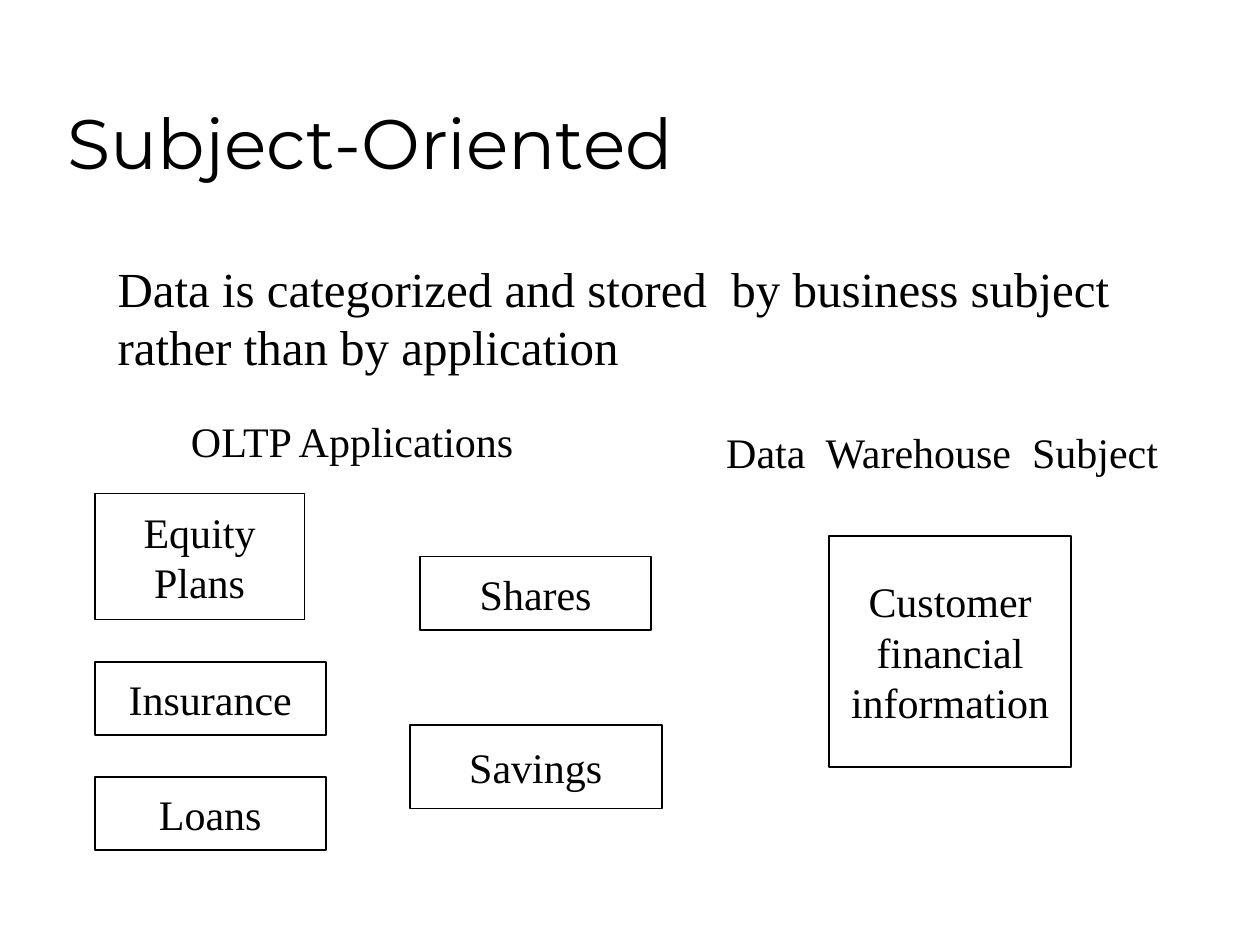
from dataclasses import dataclass

from pptx import Presentation
from pptx.dml.color import RGBColor
from pptx.enum.shapes import MSO_SHAPE as Shape
from pptx.enum.text import MSO_ANCHOR as Anchor, PP_ALIGN as Align
from pptx.util import Cm, Pt

BLACK = RGBColor(0, 0, 0)
WHITE = RGBColor(255, 255, 255)
BODY_FONT = "Times New Roman"
TITLE_FONT = "Montserrat"


@dataclass(frozen=True)
class Area:
    left: float
    top: float
    width: float
    height: float

    def lengths(self) -> tuple:
        return Cm(self.left), Cm(self.top), Cm(self.width), Cm(self.height)


@dataclass(frozen=True)
class Subject:
    text: str
    area: Area


@dataclass(frozen=True)
class Label:
    text: str
    area: Area
    size: int = 24
    font: str = BODY_FONT
    anchor: Anchor = Anchor.TOP
    wrap: bool = False


LABELS = [
    Label("Subject-Oriented", Area(1.12, 0.64, 21.59, 3.18), 40, TITLE_FONT,
          Anchor.BOTTOM, True),
    Label("Data is categorized and stored  by business subject\n"
          "rather than by application", Area(2.12, 5.08, 20.5, 2.64), 28),
    Label("OLTP Applications", Area(3.6, 8.26, 7.16, 1.27)),
    Label("Data  Warehouse  Subject", Area(14.39, 8.47, 9.3, 1.27)),
]

SUBJECTS = [
    Subject("Equity\nPlans", Area(1.91, 9.95, 4.23, 2.54)),
    Subject("Insurance", Area(1.91, 13.34, 4.66, 1.48)),
    Subject("Loans", Area(1.91, 15.66, 4.66, 1.48)),
    Subject("Shares", Area(8.47, 11.22, 4.66, 1.48)),
    Subject("Savings", Area(8.26, 14.61, 5.08, 1.69)),
    Subject("Customer\nfinancial\ninformation", Area(16.72, 10.8, 4.87, 4.66)),
]


def write(frame, text: str, *, size: int = 24, font: str = BODY_FONT,
          align: Align = Align.LEFT, anchor: Anchor = Anchor.TOP,
          wrap: bool = False) -> None:
    frame.text = text
    frame.word_wrap = wrap
    frame.vertical_anchor = anchor
    for para in frame.paragraphs:
        para.alignment = align
        for span in para.runs:
            span.font.name = font
            span.font.size = Pt(size)
            span.font.color.rgb = BLACK


def draw_label(page, label: Label) -> None:
    box = page.shapes.add_textbox(*label.area.lengths())
    write(box.text_frame, label.text, size=label.size, font=label.font,
          anchor=label.anchor, wrap=label.wrap)


def draw_subject(page, subject: Subject) -> None:
    box = page.shapes.add_shape(Shape.RECTANGLE, *subject.area.lengths())
    box.shadow.inherit = False
    box.fill.background()
    box.line.color.rgb = BLACK
    box.line.width = Pt(1)
    write(box.text_frame, subject.text, align=Align.CENTER, anchor=Anchor.MIDDLE)


def main() -> None:
    deck = Presentation()
    deck.slide_width, deck.slide_height = Cm(25.4), Cm(19.05)
    page = deck.slides.add_slide(deck.slide_layouts[6])
    page.background.fill.solid()
    page.background.fill.fore_color.rgb = WHITE
    for label in LABELS:
        draw_label(page, label)
    for subject in SUBJECTS:
        draw_subject(page, subject)
    deck.save("out.pptx")


if __name__ == "__main__":
    main()
